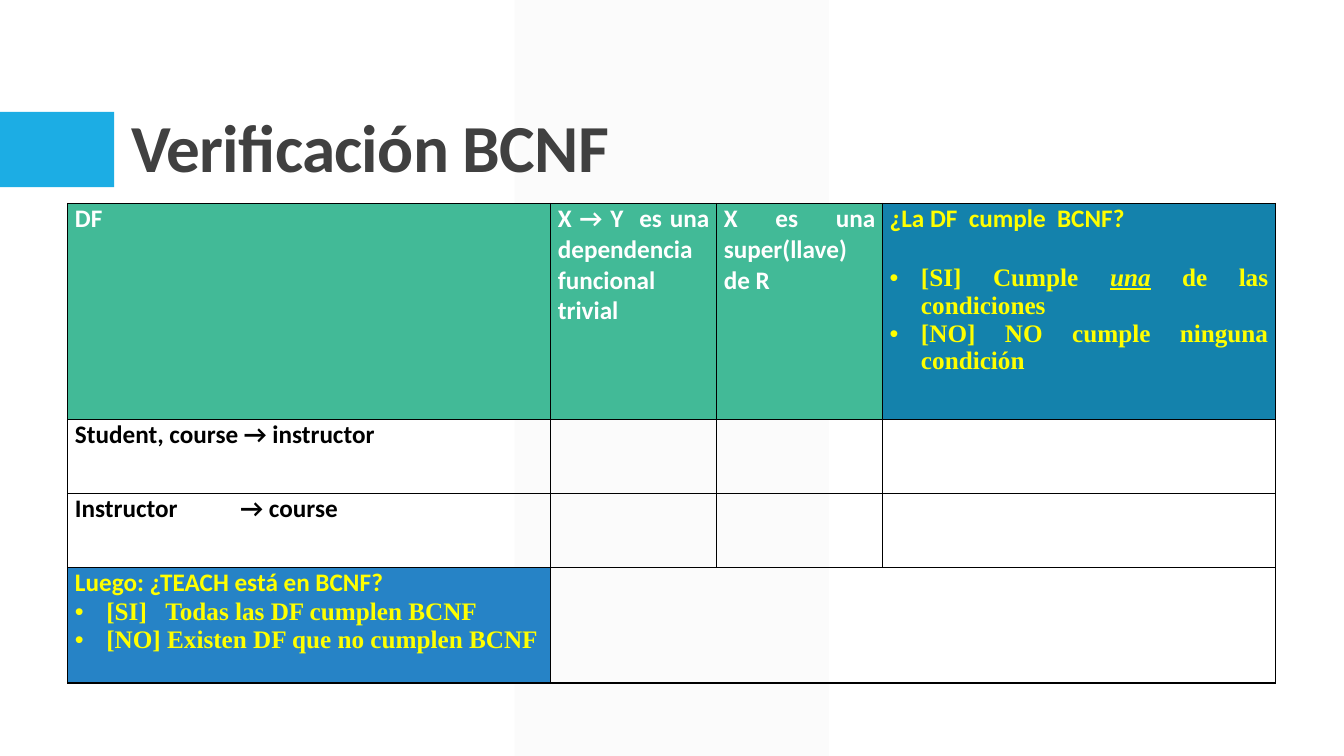
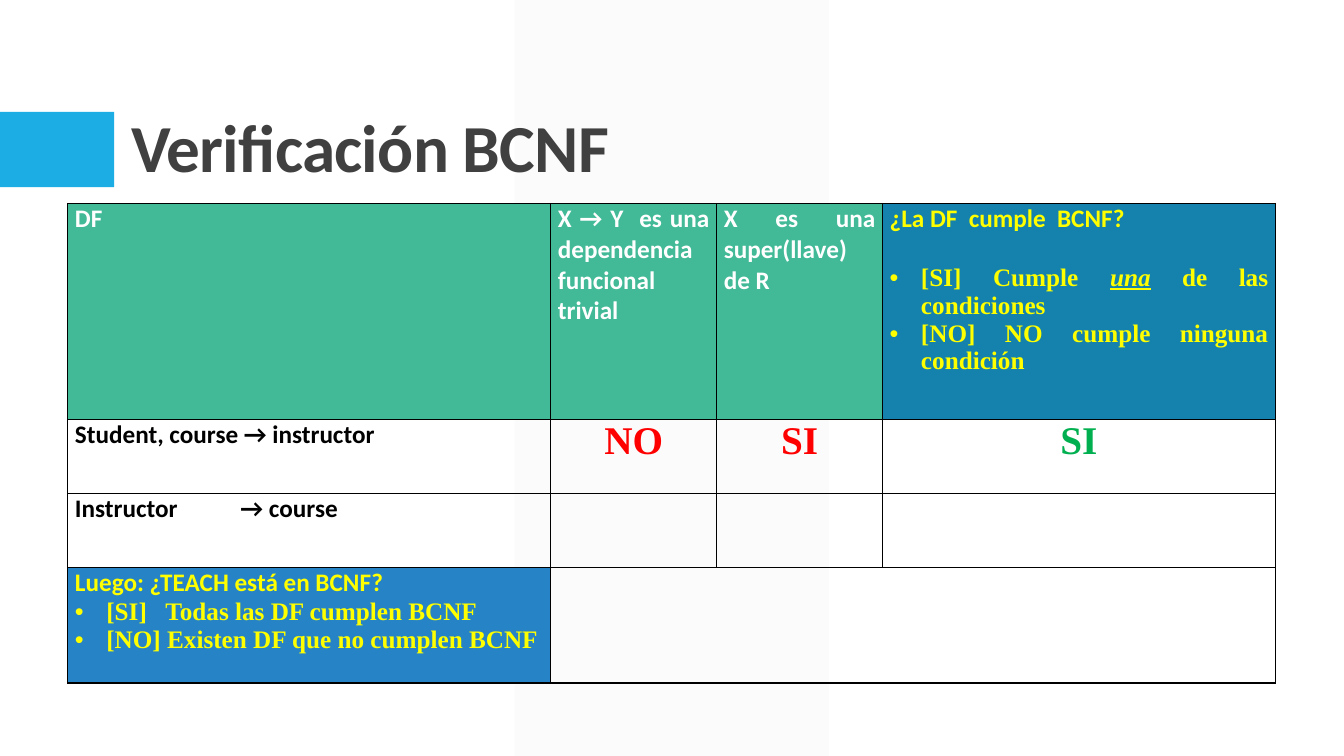
from dataclasses import dataclass

from lxml import etree
from pptx import Presentation
from pptx.dml.color import RGBColor
from pptx.enum.shapes import MSO_SHAPE
from pptx.enum.text import MSO_ANCHOR, MSO_AUTO_SIZE, PP_ALIGN
from pptx.oxml.ns import qn
from pptx.util import Cm, Pt

RECTANGLE = MSO_SHAPE.RECTANGLE
PARALLELOGRAM = MSO_SHAPE.PARALLELOGRAM
BOTTOM = MSO_ANCHOR.BOTTOM
NO_AUTOFIT = MSO_AUTO_SIZE.NONE
LEFT, CENTER, JUSTIFY = PP_ALIGN.LEFT, PP_ALIGN.CENTER, PP_ALIGN.JUSTIFY

COLORS = {
    "band": "F2F2F2", "accent": "1CADE4", "title": "404040",
    "header": "42BA97", "question": "1482AC", "conclusion": "2683C6",
    "white": "FFFFFF", "black": "000000", "yellow": "FFFF00",
    "red": "FF0000", "green": "00B050",
}
SANS, SERIF = "Calibri", "Times New Roman"
SLIDE_WIDTH, SLIDE_HEIGHT = Cm(33.87), Cm(19.05)
TITLE_BOX = Cm(3.05), Cm(0.79), Cm(27.94), Cm(4.04)
TABLE_ORIGIN = Cm(1.71), Cm(5.13)
COLUMN_WIDTHS = [Cm(12.17), Cm(4.18), Cm(4.18), Cm(9.9)]
ROW_HEIGHTS = [Cm(5.45), Cm(1.86), Cm(1.86), Cm(2.91)]
CELL_MARGIN = Cm(0.18)
BULLET_INDENT = Cm(0.79)


@dataclass
class Line:
    """One paragraph of a cell; text between asterisks is emphasised."""
    text: str
    color: str = "black"
    font: str = SANS
    size: int = 18
    align: PP_ALIGN = JUSTIFY
    bullet: bool = False
    space_after: int = 0
    tab: int = 0


def bullet_line(text, tab=0):
    """Return a yellow bulleted line."""
    return Line(text, "yellow", SERIF, bullet=True, tab=tab)


def verdict(text, color):
    """Return a large centred answer."""
    return Line(text, color, SERIF, 28, CENTER)


HEADER = [
    [Line("DF", "white")],
    [Line("X → Y  es una dependencia funcional trivial", "white")],
    [Line("X es una super(llave) de R", "white")],
    [Line("¿La DF  cumple  BCNF?", "yellow", space_after=21),
     bullet_line("[SI] Cumple *una* de las condiciones"),
     bullet_line("[NO] NO cumple ninguna condición")],
]
DEPENDENCIES = [
    Line("Student, course → instructor"),
    Line("Instructor\t→ course", align=LEFT, tab=Cm(4.17)),
]
CONCLUSION = [
    Line("Luego: ¿TEACH está en BCNF?", "yellow"),
    bullet_line("[SI]   Todas las DF cumplen BCNF"),
    bullet_line("[NO] Existen DF que no cumplen BCNF"),
]
FILLS = {(0, 0): "header", (0, 1): "header", (0, 2): "header",
         (0, 3): "question", (3, 0): "conclusion"}
FIRST_ANSWERS = [verdict("NO", "red"), verdict("SI", "red"), verdict("SI", "green")]


def rgb(name):
    """Return a palette colour."""
    return RGBColor.from_string(COLORS[name])


def style_font(font, name, size, color):
    """Apply the bold style that all text shares."""
    font.name, font.size, font.bold = name, Pt(size), True
    font.color.rgb = rgb(color)


def add_block(slide, preset, box, color):
    """Add a plain filled shape."""
    block = slide.shapes.add_shape(preset, *box)
    block.shadow.inherit = False
    block.fill.solid()
    block.fill.fore_color.rgb = rgb(color)
    block.line.fill.background()
    return block


def decorate_layout(layout, slide):
    """Build the shared background blocks and move them to the layout."""
    band = add_block(slide, PARALLELOGRAM, (Cm(12.97), 0, Cm(7.92), SLIDE_HEIGHT), "band")
    band.adjustments[0] = 0
    band_color = band.element.find(".//" + qn("a:srgbClr"))
    etree.SubElement(band_color, qn("a:alpha"), val="30000")
    marker = add_block(slide, RECTANGLE, (0, Cm(2.82), Cm(2.88), Cm(1.9)), "accent")
    for position, block in enumerate((band, marker), start=2):
        layout.shapes.element.insert(position, block.element)


def place_title(slide, text, box):
    """Place and format the slide title."""
    title = slide.shapes.title
    title.left, title.top, title.width, title.height = box
    frame = title.text_frame
    frame.text = text
    frame.auto_size = NO_AUTOFIT
    frame.vertical_anchor = BOTTOM
    paragraph = frame.paragraphs[0]
    paragraph.alignment, paragraph.line_spacing = LEFT, 0.9
    style_font(paragraph.runs[0].font, SANS, 48, "title")
    title.element.find(".//" + qn("a:rPr")).set("spc", "-50")


def write_line(paragraph, line):
    """Write and format one paragraph."""
    paragraph.alignment = line.align
    paragraph.space_after = Pt(line.space_after)
    for index, part in enumerate(line.text.split("*")):
        run = paragraph.add_run()
        run.text = part
        style_font(run.font, line.font, line.size, line.color)
        if index % 2:
            run.font.italic = run.font.underline = True
    properties = paragraph.runs[0].font and paragraph._p.get_or_add_pPr()
    if line.bullet:
        properties.set("marL", str(BULLET_INDENT))
        properties.set("indent", str(-BULLET_INDENT))
        etree.SubElement(properties, qn("a:buFont"), typeface="Arial")
        etree.SubElement(properties, qn("a:buChar"), char="•")
    if line.tab:
        tabs = etree.SubElement(properties, qn("a:tabLst"))
        etree.SubElement(tabs, qn("a:tab"), pos=str(line.tab), algn="l")


def outline_cell(cell):
    """Draw a thin black border on all sides of a cell."""
    properties = cell._tc.get_or_add_tcPr()
    for position, side in enumerate(("lnL", "lnR", "lnT", "lnB")):
        border = etree.Element(qn("a:" + side), w=str(Pt(1)))
        fill = etree.SubElement(border, qn("a:solidFill"))
        etree.SubElement(fill, qn("a:srgbClr"), val=COLORS["black"])
        properties.insert(position, border)


def fill_cell(cell, lines, color):
    """Give a cell its margins, fill, border and text."""
    cell.margin_left = cell.margin_right = CELL_MARGIN
    cell.margin_top = cell.margin_bottom = 0
    if color:
        cell.fill.solid()
        cell.fill.fore_color.rgb = rgb(color)
    else:
        cell.fill.background()
    outline_cell(cell)
    frame = cell.text_frame
    for index, line in enumerate(lines):
        write_line(frame.add_paragraph() if index else frame.paragraphs[0], line)


def add_check_table(slide, origin, answers):
    """Add the table of dependencies with the answers to the first one."""
    table = slide.shapes.add_table(
        len(ROW_HEIGHTS), len(COLUMN_WIDTHS), *origin,
        sum(COLUMN_WIDTHS), sum(ROW_HEIGHTS)).table
    table.first_row = table.horz_banding = False
    for column, width in zip(table.columns, COLUMN_WIDTHS):
        column.width = width
    for row, height in zip(table.rows, ROW_HEIGHTS):
        row.height = height
    contents = {(0, column): lines for column, lines in enumerate(HEADER)}
    contents.update({(row, 0): [line] for row, line in enumerate(DEPENDENCIES, 1)})
    contents.update({(1, column): [line] for column, line in enumerate(answers, 1)})
    contents[3, 0] = CONCLUSION
    for row in range(len(ROW_HEIGHTS)):
        for column in range(len(COLUMN_WIDTHS)):
            place = row, column
            fill_cell(table.cell(*place), contents.get(place, []), FILLS.get(place))
    table.cell(3, 1).merge(table.cell(3, 3))


def add_check_slide(deck, layout, answers):
    """Add one verification slide."""
    slide = deck.slides.add_slide(layout)
    place_title(slide, "Verificación BCNF", TITLE_BOX)
    add_check_table(slide, TABLE_ORIGIN, answers)
    return slide


def main():
    """Build and save the presentation."""
    deck = Presentation()
    deck.slide_width, deck.slide_height = SLIDE_WIDTH, SLIDE_HEIGHT
    layout = deck.slide_layouts[5]
    slides = [add_check_slide(deck, layout, answers) for answers in ([], FIRST_ANSWERS)]
    decorate_layout(layout, slides[0])
    deck.save("out.pptx")


if __name__ == "__main__":
    main()
